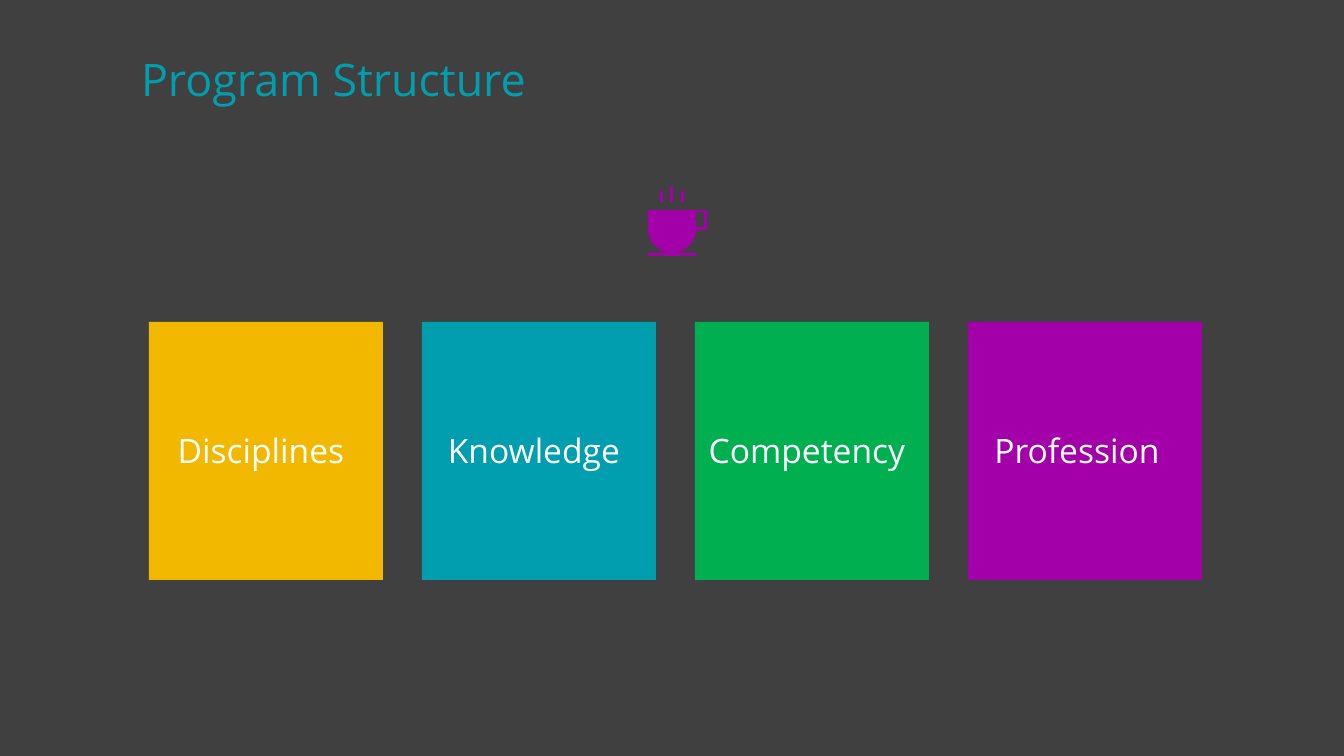
"""Build the Program Structure slide with a cup icon and four labelled cards."""
from dataclasses import dataclass
from math import cos, pi, sin

from pptx import Presentation
from pptx.dml.color import RGBColor
from pptx.enum.shapes import MSO_SHAPE
from pptx.enum.text import MSO_ANCHOR, PP_ALIGN
from pptx.shapes.autoshape import Shape
from pptx.slide import Slide
from pptx.util import Emu, Pt

EMU_PER_PX = 914400 / 134.4
COLORS = {
    "background": "404040",
    "yellow": "F2B800",
    "teal": "009EAF",
    "green": "00B050",
    "purple": "A300AA",
    "white": "FFFFFF",
}
FRAME_FORMAT = {
    "margin_left": 0,
    "margin_top": 0,
    "margin_right": 0,
    "margin_bottom": 0,
    "word_wrap": True,
    "vertical_anchor": MSO_ANCHOR.TOP,
}
TITLE_FORMAT = {"alignment": PP_ALIGN.LEFT}
LABEL_FORMAT = {"alignment": PP_ALIGN.CENTER, "line_spacing": 0.9}


@dataclass(frozen=True)
class Box:
    """Hold a rectangle in px."""

    left: int
    top: int
    width: int
    height: int


@dataclass(frozen=True)
class Card:
    """Hold one card's label, colour and label inset in px."""

    label: str
    color: str
    inset: int = 12


CARDS = [
    Card("Disciplines", "yellow"),
    Card("Knowledge", "teal"),
    Card("Competency", "green"),
    Card("Profession", "purple", 9),
]
CARD_LEFT, CARD_PITCH = 149, 273
SAUCER_AND_STEAM = [
    Box(648, 253, 48, 3),
    Box(660, 191, 3, 11),
    Box(681, 191, 3, 11),
    Box(670, 186, 3, 16),
]


def px(value: float) -> Emu:
    """Convert px to EMU."""
    return Emu(round(value * EMU_PER_PX))


def place(box: Box) -> tuple[Emu, ...]:
    """Return a box as EMU left, top, width and height."""
    return tuple(px(value) for value in (box.left, box.top, box.width, box.height))


def paint(shape: Shape, color: str) -> None:
    """Give a shape a flat fill without line or shadow."""
    shape.shadow.inherit = False
    shape.fill.solid()
    shape.fill.fore_color.rgb = RGBColor.from_string(COLORS[color])
    shape.line.fill.background()


def apply_format(target: object, values: dict) -> None:
    """Set each named attribute on the target."""
    for name, value in values.items():
        setattr(target, name, value)


def add_rectangle(slide: Slide, box: Box, color: str) -> None:
    """Draw a plain rectangle."""
    paint(slide.shapes.add_shape(MSO_SHAPE.RECTANGLE, *place(box)), color)


def add_text(slide: Slide, box: Box, text: str, size: int, color: str, layout: dict) -> None:
    """Draw one line of text."""
    frame = slide.shapes.add_textbox(*place(box)).text_frame
    apply_format(frame, FRAME_FORMAT)
    paragraph = frame.paragraphs[0]
    apply_format(paragraph, layout)
    run = paragraph.add_run()
    run.text = text
    apply_format(run.font, {"name": "Open Sans", "size": Pt(size)})
    run.font.color.rgb = RGBColor.from_string(COLORS[color])


def add_cup(slide: Slide, color: str) -> None:
    """Draw the cup with its open handle, saucer and steam."""
    bowl = [
        (672 + 24 * cos(pi * step / 24), 229 + 24 * sin(pi * step / 24))
        for step in range(25)
    ]
    outline = [(648, 210), (707, 210), (707, 230), (696, 230), *bowl]
    handle_hole = [(696, 212), (704, 212), (704, 227), (696, 227)]
    builder = slide.shapes.build_freeform(px(648), px(210))
    builder.add_line_segments([(px(x), px(y)) for x, y in outline[1:]])
    builder.move_to(*map(px, handle_hole[0]))
    builder.add_line_segments([(px(x), px(y)) for x, y in handle_hole[1:]])
    paint(builder.convert_to_shape(), color)
    for box in SAUCER_AND_STEAM:
        add_rectangle(slide, box, color)


def add_card(slide: Slide, card: Card, left: int) -> None:
    """Draw a coloured card and its label."""
    add_rectangle(slide, Box(left, 322, 234, 258), card.color)
    label_box = Box(left + card.inset, 434, 200, 59)
    add_text(slide, label_box, card.label, 18, "white", LABEL_FORMAT)


def main() -> None:
    """Build and save the presentation."""
    presentation = Presentation()
    apply_format(presentation, {"slide_width": px(1344), "slide_height": px(756)})
    slide = presentation.slides.add_slide(presentation.slide_layouts[6])
    slide.background.fill.solid()
    slide.background.fill.fore_color.rgb = RGBColor.from_string(COLORS["background"])
    add_text(slide, Box(141, 52, 640, 66), "Program Structure", 24, "teal", TITLE_FORMAT)
    add_cup(slide, "purple")
    for index, card in enumerate(CARDS):
        add_card(slide, card, CARD_LEFT + index * CARD_PITCH)
    presentation.save("out.pptx")


if __name__ == "__main__":
    main()
